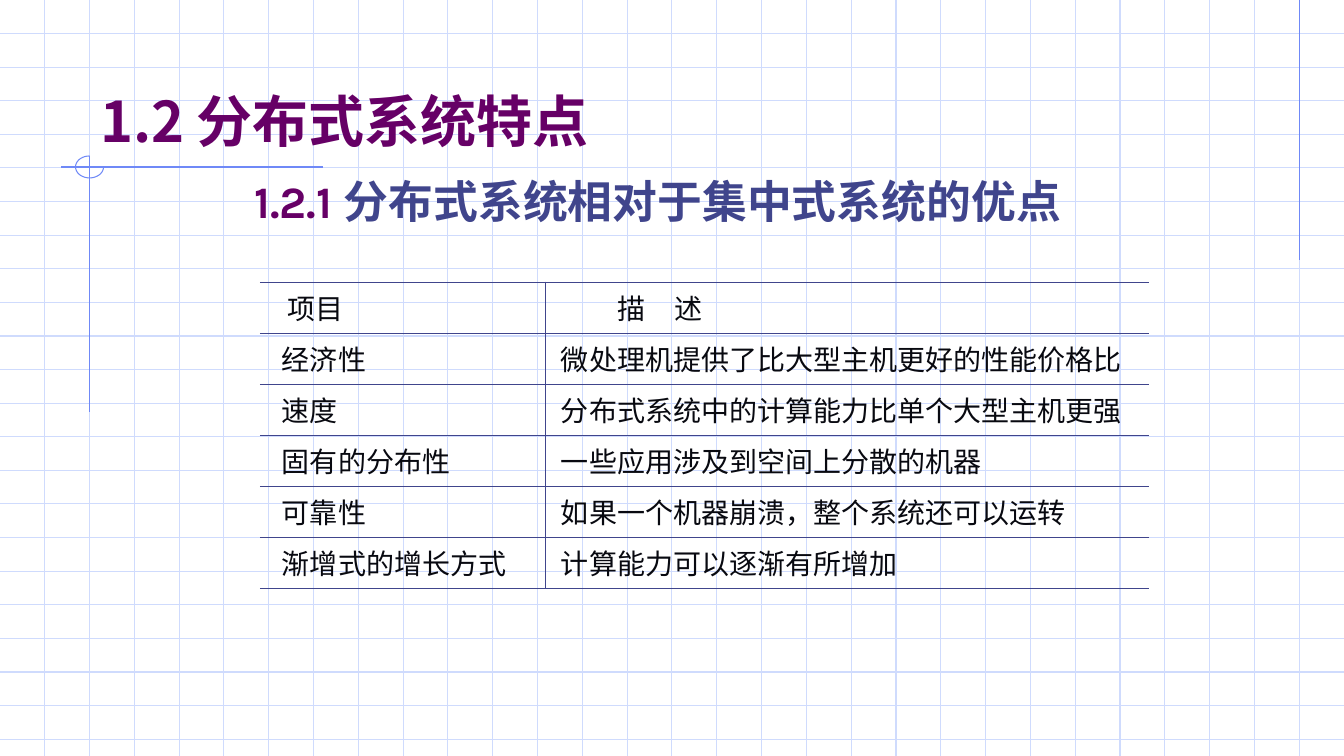
import math

from lxml import etree
from pptx import Presentation
from pptx import util as u
from pptx.dml.color import RGBColor
from pptx.enum import shapes, text
from pptx.oxml.ns import qn

PX = 9072  # EMU per px
WIDTH, HEIGHT = 1344, 756
COLORS = {"grid": "CFDBFD", "accent": "6F89F7", "purple": "660066",
          "indigo": "40458C", "ink": "080910"}
CJK, CJK_TITLE, LATIN = "Noto Sans CJK SC", "Noto Sans CJK JP", "Karla"
ROWS = [
    ("项目", "描　述"),
    ("经济性", "微处理机提供了比大型主机更好的性能价格比"),
    ("速度", "分布式系统中的计算能力比单个大型主机更强"),
    ("固有的分布性", "一些应用涉及到空间上分散的机器"),
    ("可靠性", "如果一个机器崩溃，整个系统还可以运转"),
    ("渐增式的增长方式", "计算能力可以逐渐有所增加"),
]


def px(value):
    return u.Emu(round(value * PX))


def color(name):
    return RGBColor.from_string(COLORS[name])


def format_run(run, size, color_name, latin, east_asian, bold=False):
    run.font.size, run.font.bold, run.font.name = u.Pt(size), bold, latin
    run.font.color.rgb = color(color_name)
    properties = run.font._element if hasattr(run.font, "_element") else run._r.get_or_add_rPr()
    latin_element = properties.find(qn("a:latin"))
    east_asian_element = etree.Element(qn("a:ea"), typeface=east_asian)
    latin_element.addnext(east_asian_element)


def place(shape, box):
    shape.left, shape.top, shape.width, shape.height = map(px, box)


def add_line(group, start, end, color_name):
    line = group.shapes.add_connector(
        shapes.MSO_CONNECTOR.STRAIGHT, *map(px, start + end))
    line.line.color.rgb = color(color_name)
    line.line.width = u.Pt(0.75)
    etree.SubElement(line.element.spPr, qn("a:effectLst"))


def add_background(slide, box):
    left, top, width, height = box
    right, bottom = left + width, top + height
    group = slide.shapes.add_group_shape()

    # Squared paper
    column, row = width / 30, height / 22.5
    for index in range(1, 23):
        y = top + index * row
        add_line(group, (left, y), (right, y), "grid")
    for index in range(1, 30):
        x = left + index * column
        add_line(group, (x, top), (x, bottom), "grid")

    # Accent lines
    corner_x, corner_y = left + 2 * column, top + 167
    edge_x = right - column
    add_line(group, (edge_x, top), (edge_x, top + 260), "accent")
    add_line(group, (left + 61, corner_y), (left + 323, corner_y), "accent")
    add_line(group, (corner_x, corner_y - 11), (corner_x, top + 412), "accent")

    # Three-quarter ring around the corner
    points = [(px(corner_x + 14 * math.cos(math.radians(angle))),
               px(corner_y - 11 * math.sin(math.radians(angle))))
              for angle in range(90, 361, 10)]
    builder = group.shapes.build_freeform(*points[0])
    builder.add_line_segments(points[1:], close=False)
    ring = builder.convert_to_shape()
    ring.shadow.inherit = False
    ring.fill.background()
    ring.line.color.rgb = color("accent")
    ring.line.width = u.Pt(0.75)

    # Behind the placeholders
    group.element.getparent().insert(2, group.element)


def add_title(slide, box):
    title = slide.shapes.title
    place(title, box)
    frame = title.text_frame
    frame.text = "1.2 分布式系统特点"
    frame.auto_size = text.MSO_AUTO_SIZE.NONE
    frame.vertical_anchor = text.MSO_ANCHOR.BOTTOM
    paragraph = frame.paragraphs[0]
    paragraph.alignment = text.PP_ALIGN.LEFT
    format_run(paragraph.runs[0], 40, "purple", CJK_TITLE, CJK_TITLE, bold=True)


def add_subtitle(slide, box):
    body = slide.placeholders[1]
    place(body, box)
    frame = body.text_frame
    frame.auto_size = text.MSO_AUTO_SIZE.NONE
    paragraph = frame.paragraphs[0]
    paragraph.line_spacing, paragraph.space_before = 0.8, u.Pt(8)
    properties = paragraph._p.get_or_add_pPr()
    properties.set("marL", str(px(38)))
    properties.set("indent", str(px(-38)))
    etree.SubElement(properties, qn("a:buNone"))
    for words, color_name in (("1.2.1 ", "purple"),
                              ("分布式系统相对于集中式系统的优点", "indigo")):
        run = paragraph.add_run()
        run.text = words
        format_run(run, 32, color_name, LATIN, CJK, bold=True)


def set_borders(cell, visible):
    properties = cell._tc.get_or_add_tcPr()
    for index, side in enumerate("LRTB"):
        border = etree.Element(qn(f"a:ln{side}"), w=str(u.Pt(0.45)))
        if side in visible:
            fill = etree.SubElement(border, qn("a:solidFill"))
            etree.SubElement(fill, qn("a:srgbClr"), val=COLORS["indigo"])
        else:
            etree.SubElement(border, qn("a:noFill"))
        properties.insert(index, border)


def add_advantages_table(slide, box):
    table = slide.shapes.add_table(len(ROWS), 2, *map(px, box)).table
    table.first_row = table.horz_banding = False
    table.columns[0].width, table.columns[1].width = px(285), px(box[2] - 285)
    for row_index, row in enumerate(ROWS):
        table.rows[row_index].height = px(box[3] / len(ROWS))
        margins = (22, 16) if row_index else (28, 73)
        for column_index, words in enumerate(row):
            cell = table.cell(row_index, column_index)
            cell.text = words
            cell.margin_left = px(margins[column_index])
            cell.fill.background()
            set_borders(cell, ("RTB", "LTB")[column_index])
            format_run(cell.text_frame.paragraphs[0].runs[0], 20, "ink", CJK, CJK)


def main():
    presentation = Presentation()
    presentation.slide_width, presentation.slide_height = px(WIDTH), px(HEIGHT)
    slide = presentation.slides.add_slide(presentation.slide_layouts[1])
    add_background(slide, (0, 0, WIDTH, HEIGHT))
    add_title(slide, (90, 33, 1142, 126))
    add_subtitle(slide, (244, 179, 984, 454))
    add_advantages_table(slide, (260, 282, 889, 306))
    presentation.save("out.pptx")


if __name__ == "__main__":
    main()
